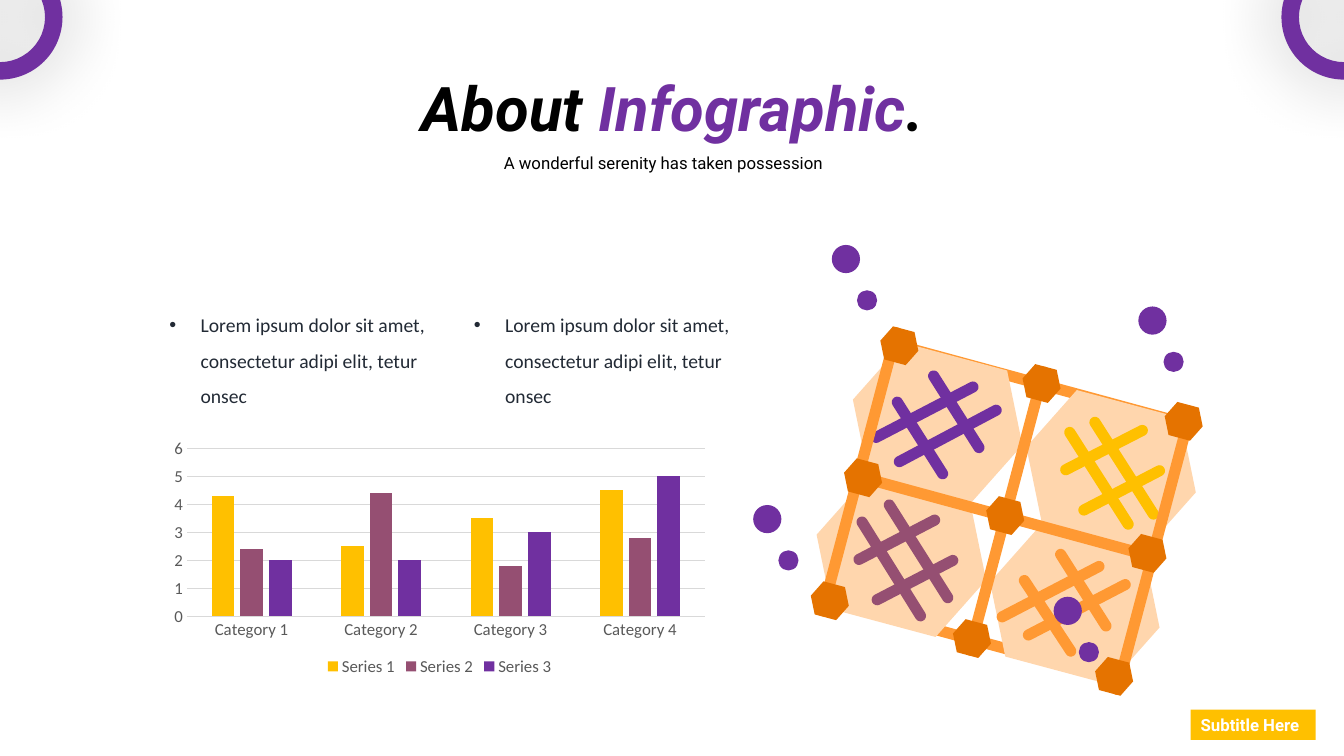
from math import atan2, cos, pi, sin

from lxml.etree import SubElement
from pptx import Presentation
from pptx.chart.data import CategoryChartData
from pptx.dml.color import RGBColor
from pptx.enum.chart import XL_CHART_TYPE, XL_LEGEND_POSITION, XL_TICK_MARK
from pptx.enum.shapes import MSO_SHAPE
from pptx.enum.text import MSO_ANCHOR, MSO_AUTO_SIZE, PP_ALIGN
from pptx.oxml.ns import qn
from pptx.util import Inches, Pt

PURPLE, PLUM, YELLOW = "7030A0", "954F72", "FFC000"
ORANGE, DARK_ORANGE, PEACH = "FF9933", "E57300", "FFD6AD"
BLACK, WHITE, GREY, GRID, INK = "000000", "FFFFFF", "595959", "D9D9D9", "222A35"
BAR_WIDTH = 0.11
TILT = 15

# Centre lines of the bars that make each hash mark
HASHES = {
    PLUM: [(8.55, 5.18, 9.13, 6.11), (8.52, 5.55, 9.27, 5.16),
           (8.7, 5.95, 9.45, 5.56), (8.82, 5.01, 9.4, 5.93)],
    ORANGE: [(10.2, 6.3, 11.16, 5.8), (10.52, 5.5, 10.97, 6.21),
             (10.16, 5.76, 10.62, 6.46), (9.94, 6.12, 10.9, 5.62)],
    PURPLE: [(8.92, 4.58, 9.88, 4.07), (9.26, 3.73, 9.71, 4.44),
             (8.9, 3.99, 9.35, 4.7), (8.69, 4.34, 9.65, 3.84)],
    YELLOW: [(10.61, 4.29, 11.19, 5.2), (10.57, 4.66, 11.33, 4.27),
             (10.75, 5.06, 11.5, 4.67), (10.86, 4.19, 11.44, 5.1)],
}
ROW_STARTS = [(8.92, 3.43), (8.56, 4.74), (8.23, 5.96)]
DOT_PAIRS = [(8.25, 2.43), (11.29, 3.04), (7.47, 5.01), (10.45, 5.92)]
SERIES = [
    ("Series 1", (4.3, 2.5, 3.5, 4.5), YELLOW),
    ("Series 2", (2.4, 4.4, 1.8, 2.8), PLUM),
    ("Series 3", (2, 2, 3, 5), PURPLE),
]


def rgb(color):
    """Turn a hex string into a colour."""
    return RGBColor.from_string(color)


def paint(sp, color):
    """Give a shape a plain fill with no line or shadow."""
    sp.shadow.inherit = False
    sp.fill.solid()
    sp.fill.fore_color.rgb = rgb(color)
    sp.line.fill.background()


def set_font(font, size, color, name="Calibri", bold=False, italic=False):
    """Set all font properties used on the slide."""
    font.name, font.size = name, Pt(size)
    font.bold, font.italic = bold, italic
    font.color.rgb = rgb(color)


def add_run(p, text, *args, **kwargs):
    """Add one formatted run to a paragraph."""
    r = p.add_run()
    r.text = text
    set_font(r.font, *args, **kwargs)


def place(sp, left, top, width, height):
    """Move and size a shape, in inches."""
    sp.left, sp.top = Inches(left), Inches(top)
    sp.width, sp.height = Inches(width), Inches(height)


def set_frame(tf, anchor=MSO_ANCHOR.TOP, wrap=True):
    """Set anchor and wrapping, and return the first paragraph."""
    tf.auto_size = MSO_AUTO_SIZE.NONE
    tf.vertical_anchor = anchor
    tf.word_wrap = wrap
    return tf.paragraphs[0]


def add_preset(shapes, kind, left, top, width, height, color):
    """Add a filled preset shape."""
    sp = shapes.add_shape(kind, Inches(left), Inches(top), Inches(width), Inches(height))
    paint(sp, color)
    return sp


def add_hexagon(shapes, x, y, width, height, color):
    """Add a tilted hexagon centred on a point."""
    sp = add_preset(shapes, MSO_SHAPE.HEXAGON, x - width / 2, y - height / 2,
                    width, height, color)
    sp.rotation = TILT


def add_bar(shapes, x1, y1, x2, y2, color, steps=8):
    """Add a bar with round ends along a centre line."""
    angle, radius = atan2(y2 - y1, x2 - x1), BAR_WIDTH / 2
    points = []
    for x, y, start in ((x2, y2, angle - pi / 2), (x1, y1, angle + pi / 2)):
        for i in range(steps + 1):
            a = start + pi * i / steps
            points.append((Inches(x + radius * cos(a)), Inches(y + radius * sin(a))))
    builder = shapes.build_freeform(*points[0])
    builder.add_line_segments(points[1:], close=True)
    paint(builder.convert_to_shape(), color)


def add_lattice(shapes):
    """Draw the tilted frame with its tiles, hash marks, nodes and dots."""
    rails = [(x, y, x + 2.83, y + 0.77, ORANGE) for x, y in ROW_STARTS]
    top, middle, bottom = rails
    add_bar(shapes, *bottom)
    add_bar(shapes, *top)
    for row in range(2):
        for col in range(2):
            add_hexagon(shapes, 9.3 + 1.72 * col - 0.36 * row,
                        4.19 + 0.47 * col + 1.34 * row, 1.74, 1.35, PEACH)
    for color, bars in HASHES.items():
        for bar in bars:
            add_bar(shapes, *bar, color)
    add_bar(shapes, *middle)
    for col in range(3):
        x, y = 8.89 + 1.46 * col, 3.3 + 0.39 * col
        add_bar(shapes, x, y, x - 0.73, y + 2.76, ORANGE)
    for x, y in ROW_STARTS:
        for col in range(3):
            add_hexagon(shapes, x + 1.41 * col, y + 0.375 * col, 0.39, 0.34, DARK_ORANGE)
    for x, y in DOT_PAIRS:
        add_preset(shapes, MSO_SHAPE.OVAL, x, y, 0.28, 0.28, PURPLE)
        add_preset(shapes, MSO_SHAPE.OVAL, x + 0.25, y + 0.45, 0.2, 0.2, PURPLE)


def add_column_chart(shapes):
    """Add the clustered column chart."""
    data = CategoryChartData()
    data.categories = [f"Category {n}" for n in range(1, 5)]
    for name, values, _ in SERIES:
        data.add_series(name, values)
    chart = shapes.add_chart(XL_CHART_TYPE.COLUMN_CLUSTERED, Inches(1.62), Inches(4.3),
                             Inches(5.48), Inches(2.45), data).chart
    chart.has_title = False
    chart.has_legend = True
    chart.legend.position = XL_LEGEND_POSITION.BOTTOM
    chart.legend.include_in_layout = False
    set_font(chart.font, 12, GREY)
    set_font(chart.legend.font, 12, GREY)
    plot = chart.plots[0]
    plot.gap_width, plot.overlap, plot.vary_by_categories = 219, -27, False
    for series, (_, _, color) in zip(plot.series, SERIES):
        series.format.fill.solid()
        series.format.fill.fore_color.rgb = rgb(color)
    for axis in (chart.category_axis, chart.value_axis):
        axis.major_tick_mark = axis.minor_tick_mark = XL_TICK_MARK.NONE
        set_font(axis.tick_labels.font, 12, GREY)
    chart.value_axis.format.line.fill.background()
    chart.value_axis.minimum_scale, chart.value_axis.maximum_scale = 0, 6
    chart.value_axis.major_unit = 1
    for line in (chart.category_axis.format.line, chart.value_axis.major_gridlines.format.line):
        line.color.rgb = rgb(GRID)
        line.width = Pt(0.75)


def fill_bullet(sp, left):
    """Place a body placeholder and write its bullet."""
    place(sp, left, 2.99, 2.62, 1.02)
    tf = sp.text_frame
    tf.margin_left = tf.margin_top = tf.margin_right = tf.margin_bottom = 0
    p = set_frame(tf)
    p.line_spacing, p.space_before = 1.5, Pt(0)
    pPr = p._p.get_or_add_pPr()
    pPr.set("marL", str(Inches(0.31)))
    pPr.set("indent", str(-Inches(0.31)))
    add_run(p, "Lorem ipsum dolor sit amet, consectetur adipi elit, tetur onsec", 14, INK)


def add_ring(shapes, left):
    """Add a corner ring with a soft shadow."""
    sp = add_preset(shapes, MSO_SHAPE.DONUT, left, -0.45, 1.24, 1.24, PURPLE)
    sp.adjustments[0] = 0.14
    effects = sp._element.spPr.find(qn("a:effectLst"))
    shadow = SubElement(effects, qn("a:outerShdw"), blurRad=str(Pt(49)), dist="0",
                        algn="ctr", rotWithShape="0")
    color = SubElement(shadow, qn("a:srgbClr"), val=BLACK)
    SubElement(color, qn("a:alpha"), val="33000")


def add_headings(slide):
    """Write the title, the line below it and the corner label."""
    place(slide.shapes.title, 2.37, 0.64, 8.6, 0.84)
    p = set_frame(slide.shapes.title.text_frame)
    p.alignment = PP_ALIGN.CENTER
    for text, color in (("About ", BLACK), ("Infographic", PURPLE), (".", BLACK)):
        add_run(p, text, 44, color, "Roboto", bold=True, italic=True)

    sp = slide.shapes.add_textbox(Inches(4.37), Inches(1.37), Inches(4.42), Inches(0.37))
    p = set_frame(sp.text_frame)
    p.alignment, p.line_spacing = PP_ALIGN.CENTER, 1.5
    add_run(p, "A wonderful serenity has taken possession", 12, BLACK, "Roboto")

    sp = add_preset(slide.shapes, MSO_SHAPE.RECTANGLE, 11.81, 7.04, 1.24, 0.3, YELLOW)
    p = set_frame(sp.text_frame, MSO_ANCHOR.MIDDLE, wrap=False)
    p.alignment = PP_ALIGN.LEFT
    add_run(p, "Subtitle Here", 12, WHITE, "Roboto", bold=True)


def main():
    """Build and save the slide."""
    prs = Presentation()
    prs.slide_width, prs.slide_height = Inches(13.33), Inches(7.5)
    slide = prs.slides.add_slide(prs.slide_layouts.get_by_name("Two Content"))
    add_lattice(slide.shapes.add_group_shape().shapes)
    add_column_chart(slide.shapes)
    for idx, left in ((1, 1.68), (2, 4.7)):
        fill_bullet(slide.placeholders[idx], left)
    add_headings(slide)
    for left in (-0.62, 12.71):
        add_ring(slide.shapes, left)
    prs.save("out.pptx")


main()
